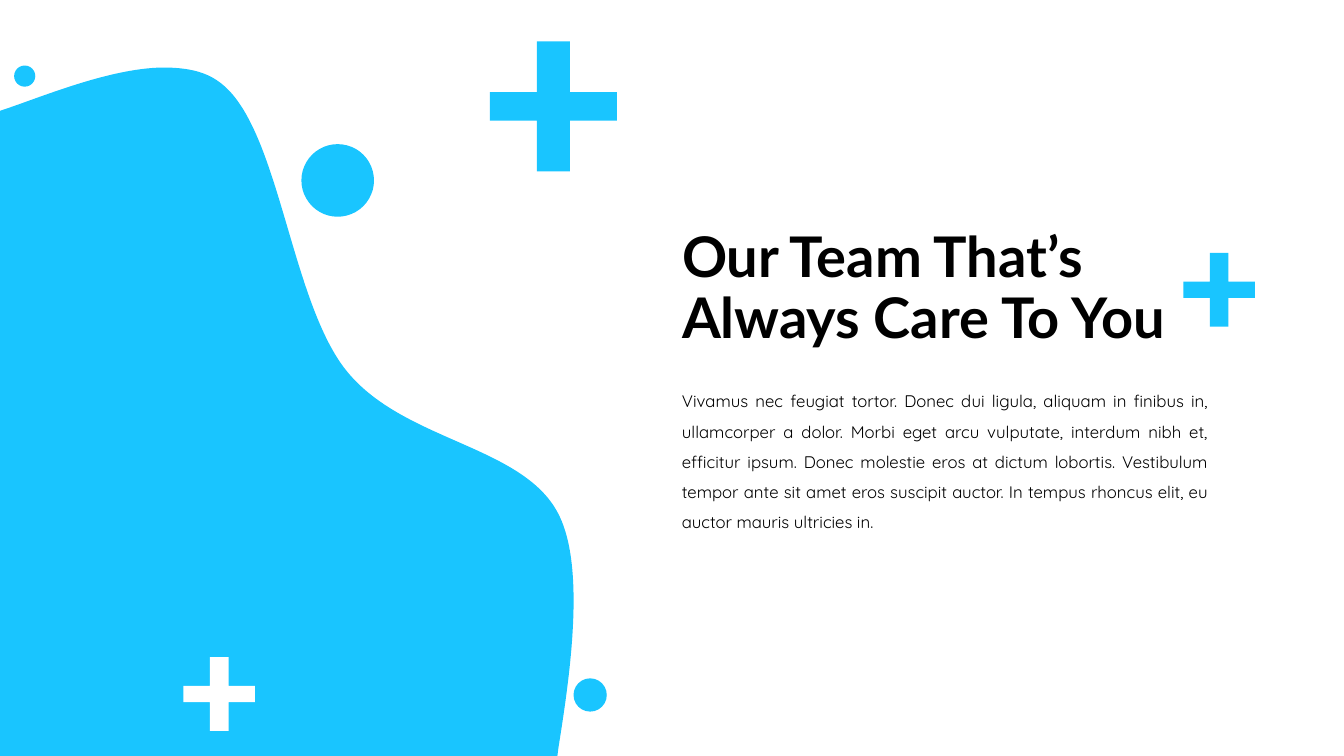
from lxml.etree import SubElement
from pptx import Presentation
from pptx.dml.color import RGBColor
from pptx.enum.shapes import MSO_SHAPE
from pptx.enum.text import MSO_ANCHOR, MSO_AUTO_SIZE, PP_ALIGN
from pptx.oxml.ns import qn
from pptx.util import Inches, Pt

SKY, WHITE, BLACK = "19C5FF", "FFFFFF", "000000"
SLIDE_WIDTH, SLIDE_HEIGHT = 40 / 3, 7.5

WAVE_START = (1.61, 0)
WAVE_SEGMENTS = [
    [(1.08, 0.01), (0.42, 0.29), (0.03, 0.42)],
    [(0, 0.43)],
    [(0, 6.83)],
    [(5.53, 6.83)],
    [(5.54, 6.75)],
    [(5.65, 6.06), (5.81, 4.99), (5.55, 4.45)],
    [(5.21, 3.74), (4, 3.72), (3.43, 3)],
    [(2.87, 2.29), (2.77, 0.56), (2.17, 0.14)],
    [(2.02, 0.03), (1.83, 0), WAVE_START],
]
DOTS = [(2.99, 1.43, 0.72), (5.69, 6.73, 0.33), (0.14, 0.65, 0.21)]
PLUSES = [
    ((11.74, 2.51, 0.71, 0.73), SKY),
    ((1.82, 6.52, 0.71, 0.73), WHITE),
    ((4.86, 0.41, 1.26, 1.29), SKY),
]
HEADING = "Our Team That’s Always Care To You"
MESSAGE = (
    "Vivamus nec feugiat tortor. Donec dui ligula, aliquam in finibus in, "
    "ullamcorper a dolor. Morbi eget arcu vulputate, interdum nibh et, "
    "efficitur ipsum. Donec molestie eros at dictum lobortis. Vestibulum "
    "tempor ante sit amet eros suscipit auctor. In tempus rhoncus elit, eu "
    "auctor mauris ultricies in."
)


def rgb(color):
    """Turn a hex string into a colour."""
    return RGBColor.from_string(color)


def apply_format(target, values):
    """Set each attribute named in a dict of format values."""
    for attribute, value in values.items():
        setattr(target, attribute, value)


def paint(shape, color):
    """Give a shape a flat fill without outline or shadow."""
    shape.shadow.inherit = False
    shape.fill.solid()
    shape.fill.fore_color.rgb = rgb(color)
    shape.line.fill.background()


def add_outline(slide, left, top, points, color):
    """Draw a closed outline whose points are offsets from left and top."""
    corners = [(Inches(left + x), Inches(top + y)) for x, y in points]
    builder = slide.shapes.build_freeform(*corners[0])
    builder.add_line_segments(corners[1:], close=True)
    outline = builder.convert_to_shape()
    paint(outline, color)
    return outline


def bend_segments(outline, segments):
    """Merge each group of three points of an outline into one curve."""
    steps = iter(list(outline.element.iter(qn("a:lnTo"))))
    for segment in segments:
        lines = [next(steps) for _ in segment]
        if len(segment) == 3:
            curve = SubElement(lines[0].getparent(), qn("a:cubicBezTo"))
            lines[0].addprevious(curve)
            for line in lines:
                curve.append(line[0])
                line.getparent().remove(line)


def add_wave(slide, left, top, width):
    """Draw the large wave along the left side."""
    points = [WAVE_START, *(point for segment in WAVE_SEGMENTS for point in segment)]
    wave = add_outline(slide, left, top, points, SKY)
    bend_segments(wave, WAVE_SEGMENTS)
    wave.width = Inches(width)
    next(wave.element.iter(qn("a:path"))).set("w", str(wave.width))


def add_plus(slide, box, color):
    """Draw a plus sign that fills the box."""
    left, top, width, height = box
    x1, x2 = width * 0.37, width * 0.63
    y1, y2 = height * 0.39, height * 0.61
    points = [
        (x1, 0), (x2, 0), (x2, y1), (width, y1), (width, y2), (x2, y2),
        (x2, height), (x1, height), (x1, y2), (0, y2), (0, y1), (x1, y1),
    ]
    add_outline(slide, left, top, points, color)


def add_dot(slide, left, top, size):
    """Draw a round dot."""
    box = map(Inches, (left, top, size, size))
    paint(slide.shapes.add_shape(MSO_SHAPE.OVAL, *box), SKY)


def write_text(shape, text, frame_format, paragraph_format, font_format):
    """Write one formatted black paragraph into a shape."""
    frame = shape.text_frame
    frame.text = text
    paragraph = frame.paragraphs[0]
    font = paragraph.runs[0].font
    apply_format(frame, {"word_wrap": True, **frame_format})
    apply_format(paragraph, paragraph_format)
    apply_format(font, font_format)
    font.color.rgb = rgb(BLACK)


def add_message(slide, left, top, width):
    """Place the heading and the message below it."""
    heading = slide.shapes.title
    apply_format(heading, {
        "left": Inches(left), "top": Inches(top),
        "width": Inches(width), "height": Inches(1.45),
    })
    write_text(
        heading, HEADING,
        {"vertical_anchor": MSO_ANCHOR.MIDDLE, "auto_size": MSO_AUTO_SIZE.NONE},
        {"alignment": PP_ALIGN.LEFT, "line_spacing": 0.9},
        {"name": "Lato", "size": Pt(40), "bold": True},
    )
    message = slide.shapes.add_textbox(
        *map(Inches, (left, top + 1.58, width - 0.33, 1.62))
    )
    write_text(
        message, MESSAGE,
        {"auto_size": MSO_AUTO_SIZE.SHAPE_TO_FIT_TEXT},
        {"alignment": PP_ALIGN.JUSTIFY, "line_spacing": 1.5},
        {"name": "Quicksand", "size": Pt(12)},
    )


def main():
    """Build and save the team slide."""
    deck = Presentation()
    apply_format(deck, {
        "slide_width": Inches(SLIDE_WIDTH), "slide_height": Inches(SLIDE_HEIGHT),
    })
    slide = deck.slides.add_slide(deck.slide_layouts.get_by_name("Title Only"))
    add_wave(slide, 0, 0.67, 5.69)
    for dot in DOTS:
        add_dot(slide, *dot)
    for box, color in PLUSES:
        add_plus(slide, box, color)
    add_message(slide, SLIDE_WIDTH / 2, 2.15, 5.75)
    deck.save("out.pptx")


if __name__ == "__main__":
    main()
